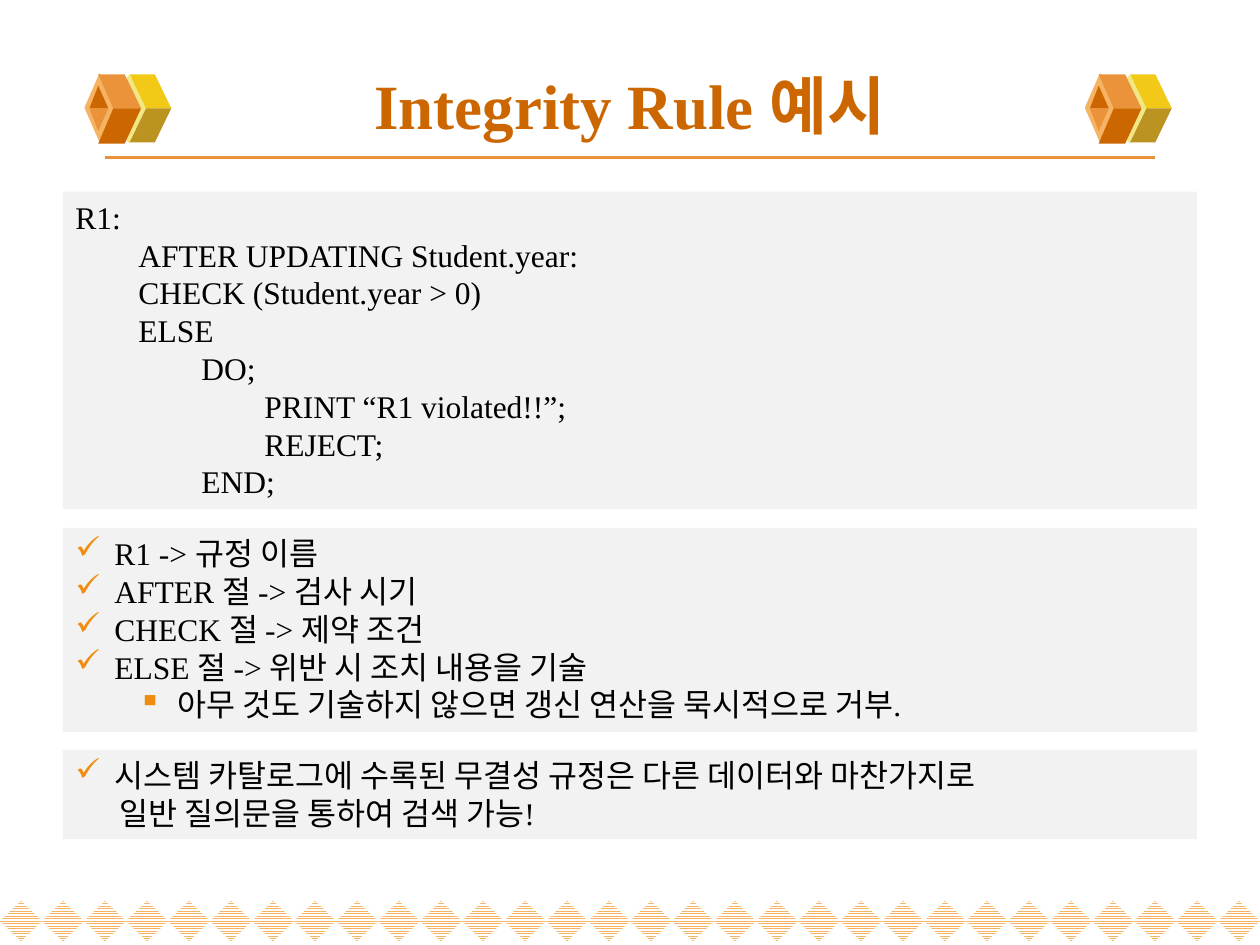
from lxml import etree
from pptx import Presentation
from pptx.dml.color import RGBColor
from pptx.enum.dml import MSO_PATTERN
from pptx.enum.shapes import MSO_CONNECTOR, MSO_SHAPE
from pptx.enum.text import MSO_ANCHOR, PP_ALIGN
from pptx.oxml.ns import qn
from pptx.util import Inches, Pt

DIAMOND, RECTANGLE = MSO_SHAPE.DIAMOND, MSO_SHAPE.RECTANGLE
STRIPES = MSO_PATTERN.NARROW_HORIZONTAL
STRAIGHT = MSO_CONNECTOR.STRAIGHT
TOP, MIDDLE = MSO_ANCHOR.TOP, MSO_ANCHOR.MIDDLE
LEFT, CENTER = PP_ALIGN.LEFT, PP_ALIGN.CENTER
FONT = "Times New Roman"


def color(value):
    return RGBColor.from_string(value)


def write(para, text, size=18, ink="000000", bold=False, align=LEFT,
          level=0, indent=0, hanging=0, bullet=None, spacing=None):
    para.alignment = align
    para.level = level
    para.line_spacing = spacing
    properties = para._p.get_or_add_pPr()
    properties.set("marL", str(Inches(indent)))
    properties.set("indent", str(Inches(-hanging)))
    if bullet:
        bullet_color = etree.SubElement(properties, qn("a:buClr"))
        etree.SubElement(bullet_color, qn("a:srgbClr"), val="F08C12")
        etree.SubElement(properties, qn("a:buChar"), char=bullet)
    else:
        etree.SubElement(properties, qn("a:buNone"))
    span = para.add_run()
    span.text = text
    span.font.name = FONT
    span.font.size = Pt(size)
    span.font.bold = bold
    span.font.color.rgb = color(ink)


deck = Presentation()
deck.slide_width, deck.slide_height = Inches(10), Inches(7.5)
page = deck.slides.add_slide(deck.slide_layouts[5])

diamond_count = 30
pitch = 10 / diamond_count
for index in range(diamond_count):
    diamond = page.shapes.add_shape(
        DIAMOND, Inches(index * pitch), Inches(7.15), Inches(pitch), Inches(0.32))
    diamond.shadow.inherit = False
    diamond.fill.patterned()
    diamond.fill.pattern = STRIPES
    diamond.fill.fore_color.rgb = color("F5B363")
    diamond.fill.back_color.rgb = color("FFFFFF")
    diamond.line.fill.background()

rule = page.shapes.add_connector(
    STRAIGHT, Inches(0.83), Inches(1.25), Inches(9.17), Inches(1.25))
rule.line.color.rgb = color("EB933B")
rule.line.width = Pt(2.25)
etree.SubElement(rule._element.spPr, qn("a:effectLst"))

cube_diamonds = [(0.86, 0.59, 0.33, 0.55, "F1E785"), (0.67, 0.58, 0.24, 0.55, "F5B363")]
cube_faces = [
    ("F3C917", [(1.16, 0.86), (1.36, 0.86), (1.23, 0.59), (1.03, 0.59)]),
    ("BB9321", [(1.16, 0.86), (1.36, 0.86), (1.23, 1.13), (1.03, 1.13)]),
    ("EB933B", [(0.9, 0.86), (1.12, 0.86), (0.99, 0.59), (0.78, 0.59)]),
    ("CC6600", [(0.9, 0.86), (1.12, 0.86), (0.99, 1.14), (0.78, 1.14)]),
    ("CC6600", [(0.78, 0.68), (0.71, 0.86), (0.86, 0.86)]),
    ("EB933B", [(0.78, 1.04), (0.71, 0.86), (0.86, 0.86)]),
]
for offset in (0, 7.94):
    parts = []
    for left, top, width, height, fill in cube_diamonds:
        parts.append((page.shapes.add_shape(
            DIAMOND, Inches(left + offset), Inches(top), Inches(width), Inches(height)), fill))
    for fill, corners in cube_faces:
        points = [(Inches(x + offset), Inches(y)) for x, y in corners]
        builder = page.shapes.build_freeform(*points[0])
        builder.add_line_segments(points[1:], close=True)
        parts.append((builder.convert_to_shape(), fill))
    for part, fill in parts:
        part.shadow.inherit = False
        part.fill.solid()
        part.fill.fore_color.rgb = color(fill)
        part.line.fill.background()

title = page.shapes.title
title.left, title.top = Inches(0.5), Inches(0.45)
title.width, title.height = Inches(9), Inches(0.76)
title.text_frame.vertical_anchor = MIDDLE
write(title.text_frame.paragraphs[0], "Integrity Rule 예시",
      size=36, ink="CC6600", bold=True, align=CENTER)

check = {"indent": 0.31, "hanging": 0.31, "bullet": "✓"}
square = {"level": 1, "indent": 0.81, "hanging": 0.31, "bullet": "▪"}
steps = [{"level": level, "indent": level * 0.5} for level in range(4)]
panels = [
    (1.52, 2.52, [
        ("R1:", steps[0]),
        ("AFTER UPDATING Student.year:", steps[1]),
        ("CHECK (Student.year > 0)", steps[1]),
        ("ELSE", steps[1]),
        ("DO;", steps[2]),
        ("PRINT “R1 violated!!”;", steps[3]),
        ("REJECT;", steps[3]),
        ("END;", steps[2]),
    ]),
    (4.19, 1.62, [
        ("R1 -> 규정 이름", check),
        ("AFTER 절 -> 검사 시기", check),
        ("CHECK 절 -> 제약 조건", check),
        ("ELSE 절 -> 위반 시 조치 내용을 기술", check),
        ("아무 것도 기술하지 않으면 갱신 연산을 묵시적으로 거부.", square),
    ]),
    (5.95, 0.71, [
        ("시스템 카탈로그에 수록된 무결성 규정은 다른 데이터와 마찬가지로", check),
        ("일반 질의문을 통하여 검색 가능!", {"indent": 0.35}),
    ]),
]
for top, height, lines in panels:
    box = page.shapes.add_shape(
        RECTANGLE, Inches(0.5), Inches(top), Inches(9), Inches(height))
    box.shadow.inherit = False
    box.fill.solid()
    box.fill.fore_color.rgb = color("F2F2F2")
    box.line.fill.background()
    frame = box.text_frame
    frame.word_wrap = True
    frame.vertical_anchor = TOP
    for index, (text, layout) in enumerate(lines):
        para = frame.add_paragraph() if index else frame.paragraphs[0]
        write(para, text, spacing=Pt(21.6), **layout)

deck.save("out.pptx")
